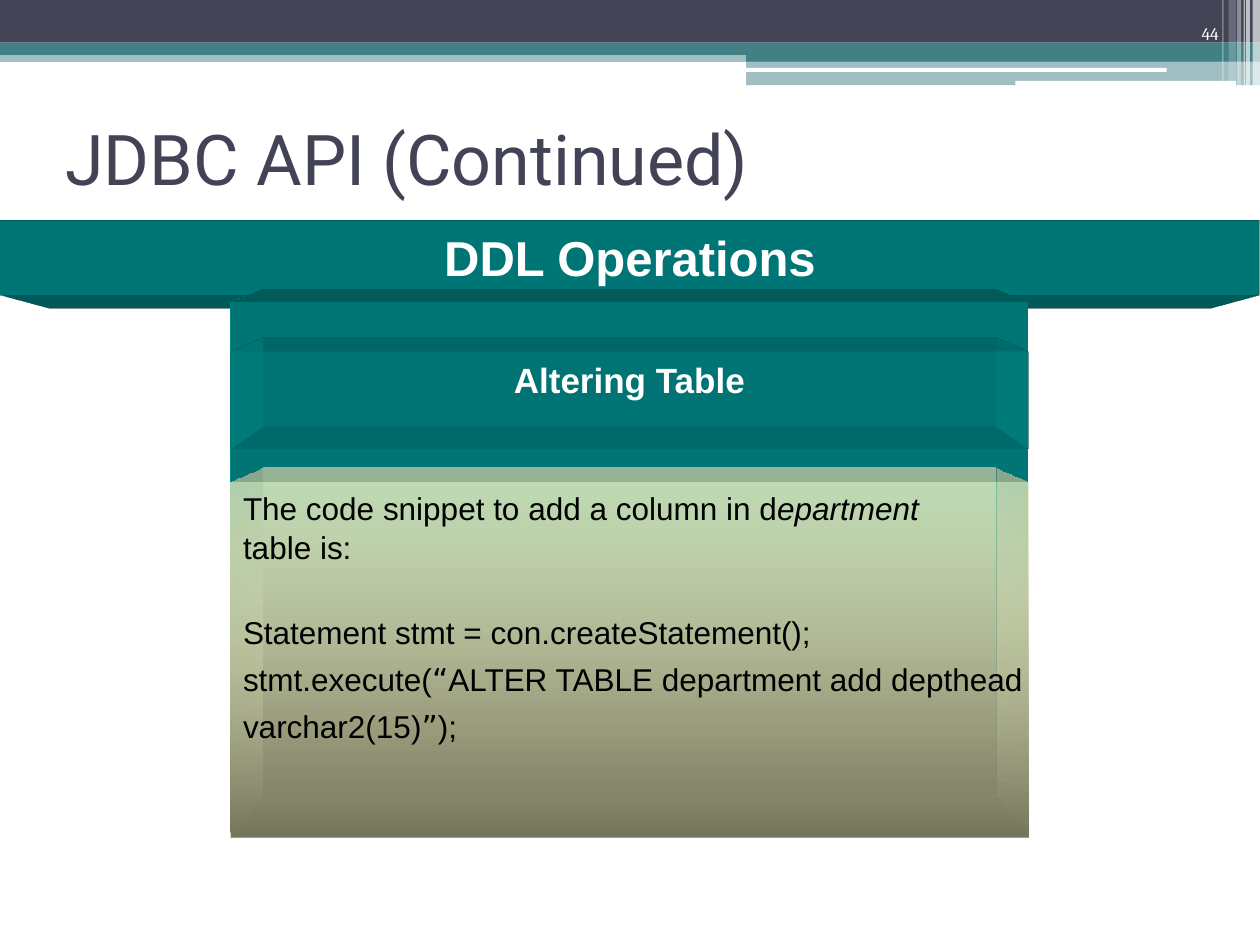
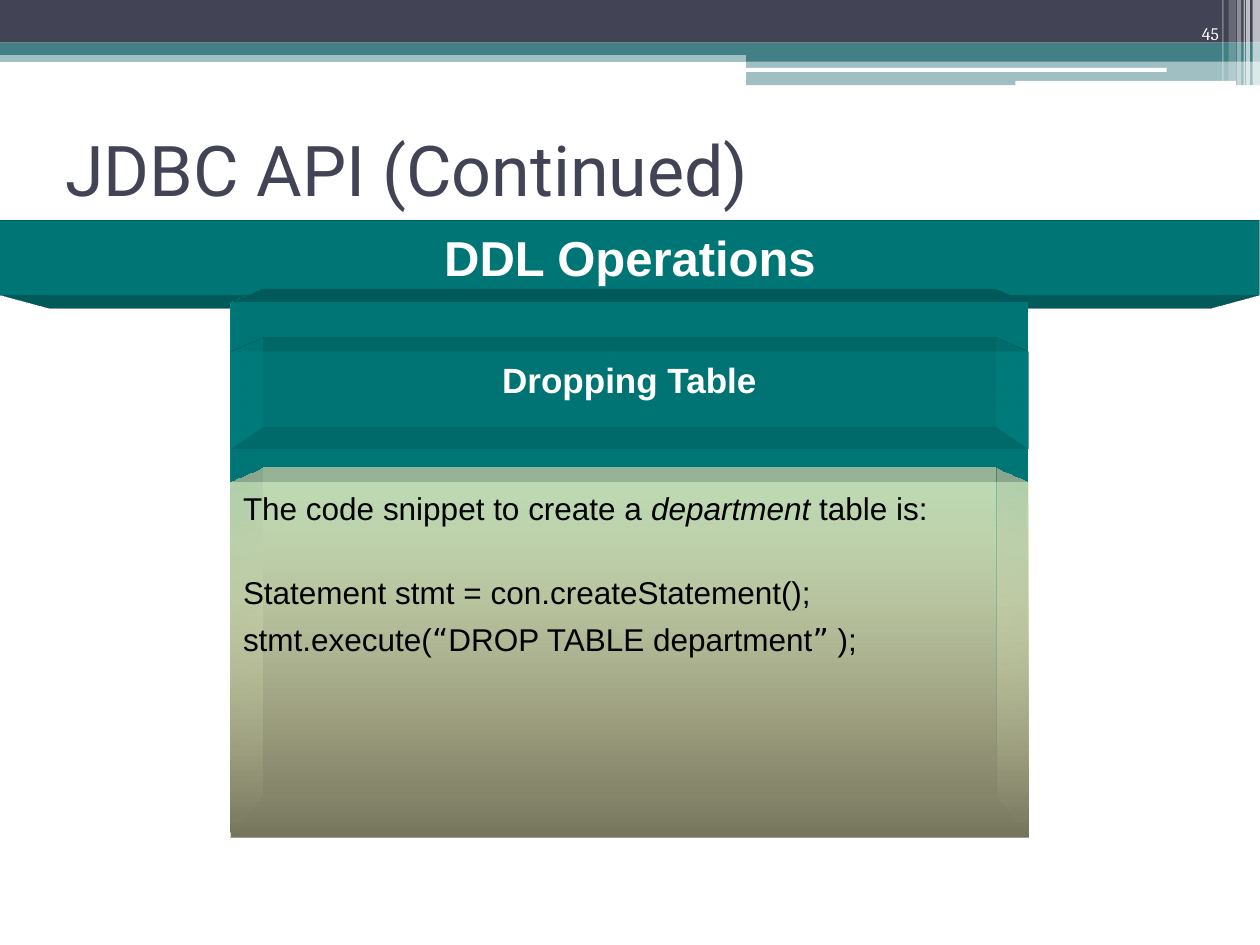
from lxml import etree
from pptx import Presentation
from pptx.dml.color import RGBColor
from pptx.enum.shapes import MSO_SHAPE
from pptx.enum.text import MSO_ANCHOR, PP_ALIGN
from pptx.oxml import parse_xml
from pptx.oxml.ns import nsdecls, qn
from pptx.util import Cm, Pt

RECT, ROUNDED = MSO_SHAPE.RECTANGLE, MSO_SHAPE.ROUNDED_RECTANGLE
TOP, MIDDLE, BOTTOM = MSO_ANCHOR.TOP, MSO_ANCHOR.MIDDLE, MSO_ANCHOR.BOTTOM
LEFT, CENTER, RIGHT = PP_ALIGN.LEFT, PP_ALIGN.CENTER, PP_ALIGN.RIGHT

WHITE = RGBColor(0xFF, 0xFF, 0xFF)
BLACK = RGBColor(0x00, 0x00, 0x00)
SLATE = RGBColor(0x42, 0x44, 0x56)
SEA = RGBColor(0x43, 0x80, 0x86)
TEAL = RGBColor(0x00, 0x99, 0x99)
CREAM = RGBColor(0xFF, 0xFF, 0xCC)
OLIVE = RGBColor(0x76, 0x76, 0x5E)

TITLE_FONT = {"name": "Roboto", "size": Pt(40), "color": SLATE}
NUMBER_FONT = {"name": "Cambria", "size": Pt(10), "color": WHITE}
BANNER_FONT = {"name": "Arial", "size": Pt(28), "color": WHITE, "bold": True}
TOPIC_FONT = BANNER_FONT | {"size": Pt(20)}
BODY_FONT = {"name": "Arial", "size": Pt(18), "color": BLACK}
ITALIC = {"italic": True}
QUOTE = {"name": "DejaVu Sans"}

SLIDE_WIDTH, SLIDE_HEIGHT = 25.4, 19.05
HEADER_BOX = (0, 0, SLIDE_WIDTH, 1.73)
NUMBER_BOX = (22.71, 0, 2.11, 1.02)
BANNER_BOX = (0, 4.45, SLIDE_WIDTH, 1.47)
PANEL_BOX = (4.65, 6.12, 16.08, 10.36)

HEADER_BARS = [
    (RECT, (0, 1.02, 25.4, 0.23), SEA, 50),
    (RECT, (0, 0, 25.4, 0.86), SLATE, 100),
    (RECT, (0, 0.86, 25.4, 0.25), SEA, 100),
    (RECT, (15.04, 0.99, 10.36, 0.25), SEA, 100),
    (RECT, (15.04, 1.22, 10.36, 0.5), SEA, 50),
    (ROUNDED, (15.01, 1.37, 8.51, 0.08), WHITE, 100),
    (ROUNDED, (20.47, 1.63, 4.45, 0.1), WHITE, 100),
]
HEADER_STRIPES = [
    (25.25, 0.15, 1.73, 65), (25.12, 0.08, 1.73, 65), (25.07, 0.03, 1.73, 60),
    (24.94, 0.08, 1.73, 40), (24.77, 0.15, 1.63, 20), (24.64, 0.03, 1.63, 30),
]

STATEMENT = (26.5, [("Statement stmt = con.createStatement();", {})])
SLIDES = [
    {
        "number": "44", "title_top": 1.7, "topic": "Altering Table",
        "lines": [
            (0, [("The code snippet to add a column in d", {}), ("epartment", ITALIC)]),
            (1, [("table is:", {})]),
            STATEMENT,
            (5.5, [("stmt.execute(", {}), ("\u201c", QUOTE),
                   ("ALTER TABLE department add depthead", {})]),
            (5.5, [("varchar2(15)", {}), ("\u201d", QUOTE), (");", {})]),
        ],
    },
    {
        "number": "45", "title_top": 1.91, "topic": "Dropping Table",
        "lines": [
            (0, [("The code snippet to create a ", {}), ("department", ITALIC),
                 (" table is:", {})]),
            STATEMENT,
            (5.5, [("stmt.execute(", {}), ("\u201c", QUOTE), ("DROP TABLE department", {}),
                   ("\u201d", QUOTE), (" );", {})]),
        ],
    },
]


def set_alpha(color_element, percent):
    """Make one colour element partly transparent."""
    etree.SubElement(color_element, qn("a:alpha"), val=str(percent * 1000))


def add_block(slide, box, color, alpha=100, preset=RECT):
    """Add a borderless filled shape without shadow."""
    block = slide.shapes.add_shape(preset, *map(Cm, box))
    block.shadow.inherit = False
    block.line.fill.background()
    block.fill.solid()
    block.fill.fore_color.rgb = color
    if alpha < 100:
        set_alpha(next(block.element.spPr.iter(qn("a:srgbClr"))), alpha)
    return block


def extrude(block, camera, color):
    """Give a shape depth in perspective."""
    space = nsdecls("a")
    block.element.spPr.append(parse_xml(
        f'<a:scene3d {space}><a:camera prst="{camera}"/>'
        '<a:lightRig rig="legacyFlat3" dir="t"/></a:scene3d>'))
    block.element.spPr.append(parse_xml(
        f'<a:sp3d {space} extrusionH="887400" prstMaterial="legacyMatte">'
        '<a:bevelT w="13500" h="13500" prst="angle"/>'
        '<a:bevelB w="13500" h="13500" prst="angle"/>'
        f'<a:extrusionClr><a:srgbClr val="{color}"/></a:extrusionClr></a:sp3d>'))


def write(shape, lines, font, anchor=TOP, align=LEFT, wrap=False):
    """Fill a shape with lines of formatted runs."""
    frame = shape.text_frame
    frame.word_wrap = wrap
    frame.vertical_anchor = anchor
    for index, (gap, runs) in enumerate(lines):
        paragraph = frame.add_paragraph() if index else frame.paragraphs[0]
        paragraph.alignment = align
        paragraph.space_before = Pt(gap)
        for text, changes in runs:
            run = paragraph.add_run()
            run.text = text
            for key, value in (font | changes).items():
                if key == "color":
                    run.font.color.rgb = value
                else:
                    setattr(run.font, key, value)


def add_label(slide, box, text, font, anchor, align=LEFT):
    """Add a one-line text box."""
    label = slide.shapes.add_textbox(*map(Cm, box))
    write(label, [(0, [(text, {})])], font, anchor, align, wrap=True)


def add_header(slide, box):
    """Draw the layered bands and the light stripes at the right."""
    left, top, _, _ = box
    for preset, (x, y, width, height), color, alpha in HEADER_BARS:
        add_block(slide, (left + x, top + y, width, height), color, alpha, preset)
    for x, width, height, alpha in HEADER_STRIPES:
        add_block(slide, (left + x, top, width, height), WHITE, alpha)


def add_banner(slide, box, text):
    """Draw the full-width section banner."""
    banner = add_block(slide, box, TEAL)
    extrude(banner, "legacyPerspectiveBottom", TEAL)
    write(banner, [(0, [(text, {})])], BANNER_FONT, MIDDLE, CENTER)


def add_panel(slide, box, topic, lines):
    """Stack the topic bar and the code body on a backing panel."""
    left, top, width, _ = box
    backing = add_block(slide, box, TEAL)
    extrude(backing, "legacyPerspectiveTop", TEAL)

    topic_bar = add_block(slide, (left, top + 0.99, width, 1.93), TEAL, 60)
    extrude(topic_bar, "legacyPerspectiveTop", TEAL)
    write(topic_bar, [(0, [(topic, {})])], TOPIC_FONT, align=CENTER)

    body = add_block(slide, (left, top + 3.61, width, 7.16), CREAM)
    body.fill.gradient()
    body.fill.gradient_angle = 270
    for stop, color in zip(body.fill.gradient_stops, (CREAM, OLIVE)):
        stop.color.rgb = color
    set_alpha(next(body.element.spPr.iter(qn("a:srgbClr"))), 50)
    extrude(body, "legacyPerspectiveTop", CREAM)
    write(body, lines, BODY_FONT)


def add_operation_slide(deck, content):
    """Build one slide about a DDL operation."""
    slide = deck.slides.add_slide(deck.slide_layouts[6])
    add_header(slide, HEADER_BOX)
    title_box = (1.07, content["title_top"], 22.86, 2.97)
    add_label(slide, title_box, "JDBC API (Continued)", TITLE_FONT, MIDDLE)
    add_label(slide, NUMBER_BOX, content["number"], NUMBER_FONT, BOTTOM, RIGHT)
    add_banner(slide, BANNER_BOX, "DDL Operations")
    add_panel(slide, PANEL_BOX, content["topic"], content["lines"])


deck = Presentation()
deck.slide_width, deck.slide_height = Cm(SLIDE_WIDTH), Cm(SLIDE_HEIGHT)
for content in SLIDES:
    add_operation_slide(deck, content)
deck.save("out.pptx")
